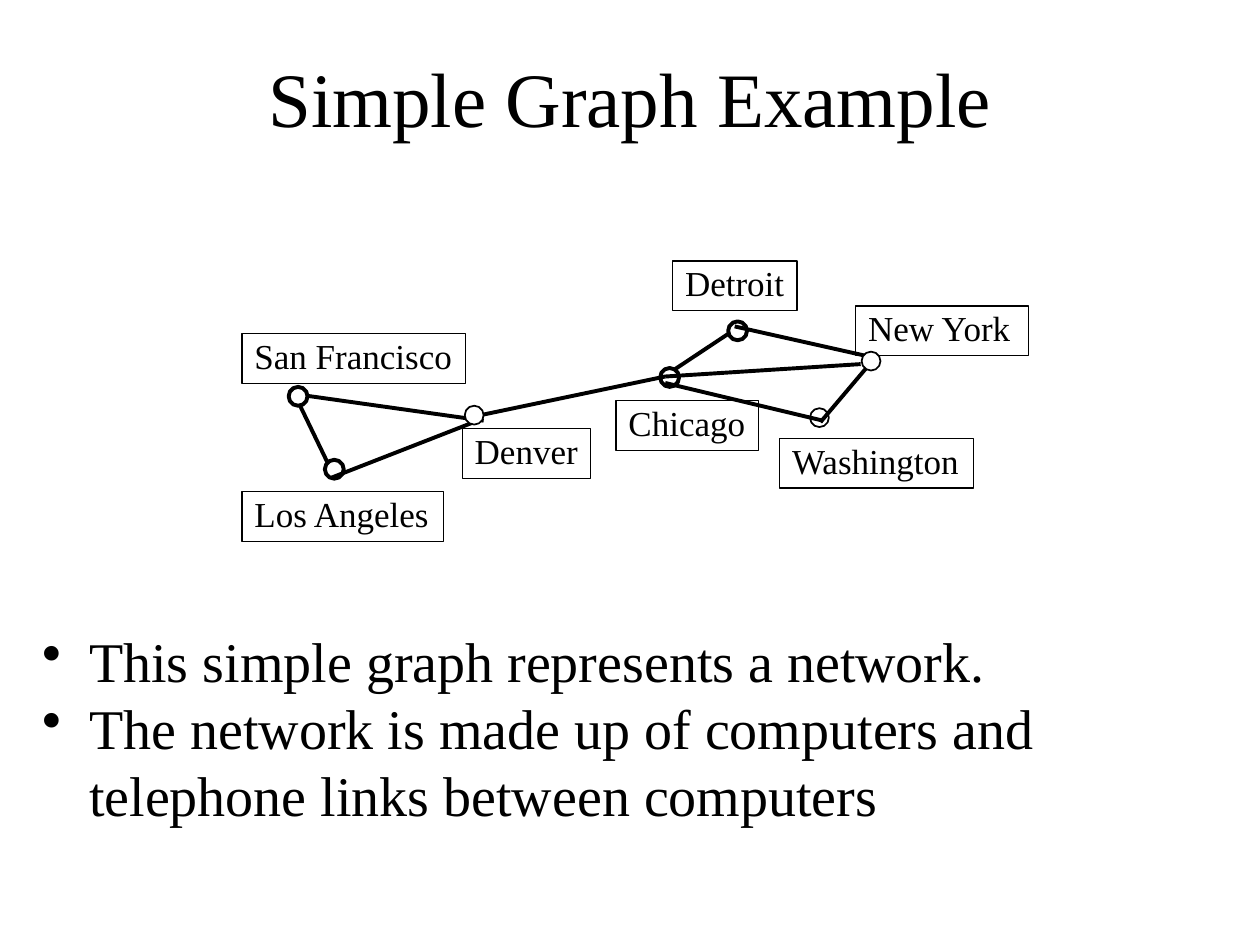
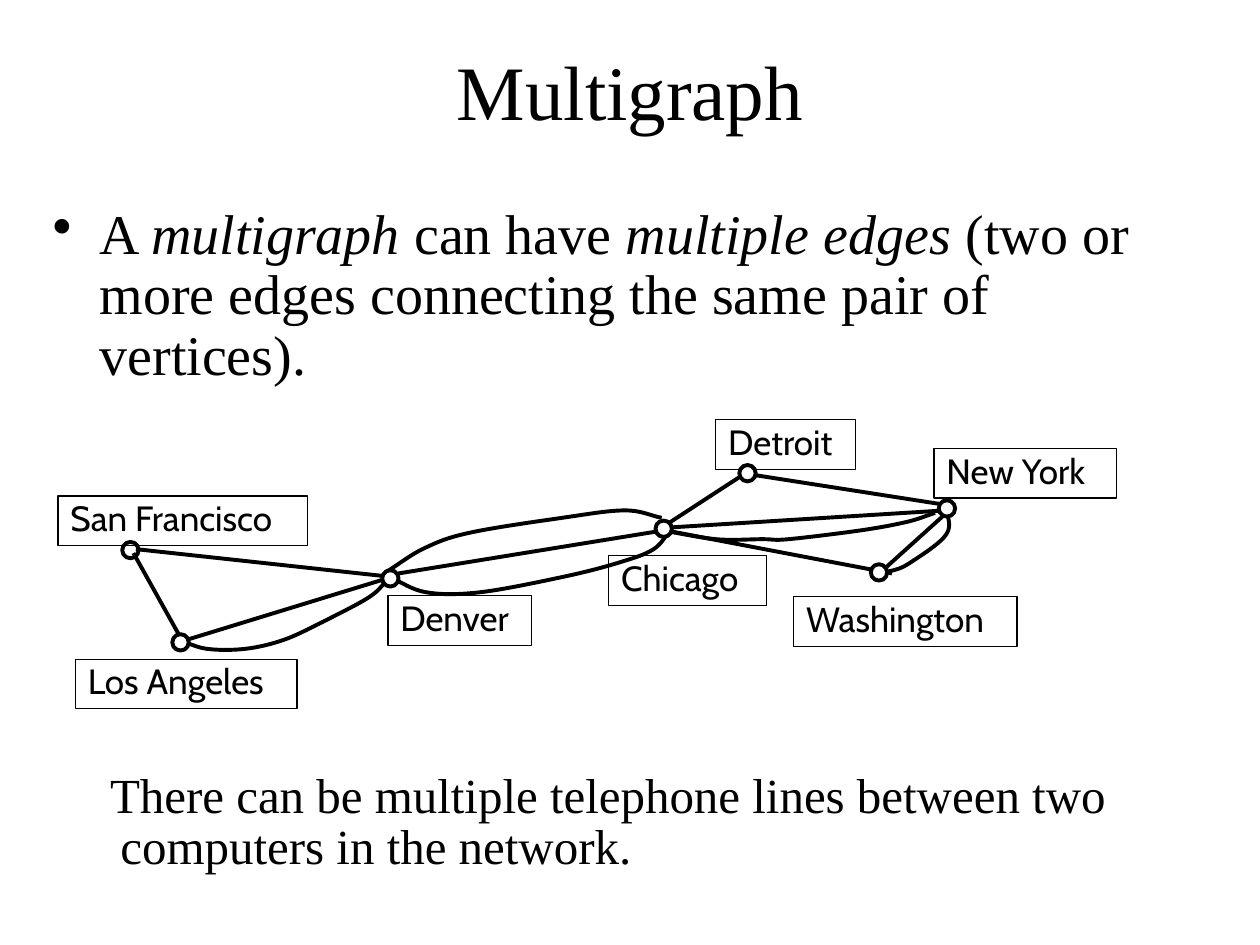
"""Build two slides that compare a simple graph and a multigraph of city links."""
from typing import NamedTuple

from lxml.etree import SubElement
from pptx import Presentation
from pptx.dml.color import RGBColor
from pptx.enum.shapes import MSO_CONNECTOR, MSO_SHAPE
from pptx.enum.text import MSO_ANCHOR, MSO_AUTO_SIZE, PP_ALIGN
from pptx.oxml.ns import qn
from pptx.util import Cm, Pt

BLACK = RGBColor(0x00, 0x00, 0x00)
WHITE = RGBColor(0xFF, 0xFF, 0xFF)
SERIF = "Times New Roman"
SANS = "Cabin"
THICK = 2.25
LABEL_HEIGHT = 1

Point = tuple[float, float]


class Box(NamedTuple):
    """A rectangle in centimetres."""
    left: float
    top: float
    width: float
    height: float


class City(NamedTuple):
    """A vertex with its name box."""
    name: str
    centre: Point
    label: Point
    label_width: float
    above_edges: bool = False
    outline: float = THICK


class Edge(NamedTuple):
    """A straight link."""
    start: Point
    end: Point


class Span(NamedTuple):
    """A stretch of text in one style."""
    text: str
    italic: bool = False


class Passage(NamedTuple):
    """A text block with its paragraph layout."""
    box: Box
    paragraphs: list[list[Span]]
    size: float
    spacing: float
    margin: float
    indent: float
    bullet: str = ""


class Graph(NamedTuple):
    """A network of cities, links and curved extra links."""
    font: str
    diameter: float
    cities: list[City]
    edges: list[Edge]
    curves: list[list[Point]]


class Page(NamedTuple):
    """The content of one slide."""
    title: str
    title_box: Box
    title_anchor: MSO_ANCHOR
    passages: list[Passage]
    graph: Graph


SIMPLE_GRAPH = Graph(
    SERIF, 0.38,
    [
        City("San Francisco", (6.01, 7.99), (4.88, 6.73), 4.5),
        City("Los Angeles", (6.74, 9.46), (4.88, 9.91), 4.06),
        City("Denver", (9.56, 8.37), (9.32, 8.64), 2.59, True, 1),
        City("Chicago", (13.5, 7.61), (12.42, 8.08), 2.87),
        City("Detroit", (14.87, 6.67), (13.56, 5.26), 2.51),
        City("Washington", (16.52, 8.42), (15.72, 8.84), 3.91, False, 1),
        City("New York", (17.56, 7.28), (17.25, 6.17), 3.48, True, 1),
    ],
    [
        Edge((6.05, 8.18), (6.6, 9.32)),
        Edge((14.68, 6.73), (13.61, 7.44)),
        Edge((6.2, 7.98), (9.75, 8.48)),
        Edge((9.63, 8.48), (6.68, 9.63)),
        Edge((14.81, 6.58), (17.53, 7.19)),
        Edge((13.41, 7.59), (17.35, 7.34)),
        Edge((13.41, 7.72), (16.59, 8.48)),
        Edge((13.41, 7.59), (9.73, 8.36)),
        Edge((17.53, 7.34), (16.54, 8.51)),
    ],
    [],
)

MULTIGRAPH = Graph(
    SANS, 0.33,
    [
        City("San Francisco", (2.63, 11.09), (1.17, 10), 5.03),
        City("Los Angeles", (3.64, 12.95), (1.52, 13.29), 4.47, True),
        City("Denver", (7.87, 11.66), (7.82, 12.01), 2.9, True),
        City("Chicago", (13.38, 10.66), (12.27, 11.2), 3.18, True),
        City("Detroit", (15.07, 9.54), (14.43, 8.46), 2.82, True),
        City("Washington", (17.72, 11.54), (16, 12.03), 4.5, True),
        City("New York", (19.09, 10.25), (18.83, 9.04), 3.68, True),
    ],
    [
        Edge((2.69, 11.15), (3.61, 12.8)),
        Edge((15.01, 9.55), (13.49, 10.54)),
        Edge((2.74, 11.07), (7.9, 11.63)),
        Edge((7.9, 11.63), (3.66, 12.93)),
        Edge((15.04, 9.55), (18.95, 10.16)),
        Edge((13.39, 10.64), (19.05, 10.29)),
        Edge((13.41, 10.69), (17.98, 11.56)),
        Edge((13.39, 10.69), (8.03, 11.56)),
        Edge((17.78, 11.51), (19.08, 10.34)),
    ],
    [
        [(3.61, 12.9), (4.17, 13.08), (4.95, 13.08), (5.72, 12.9),
         (6.48, 12.55), (7.44, 12.04), (7.82, 11.68)],
        [(7.85, 11.63), (8.59, 11.94), (9.68, 11.94), (11.35, 11.63),
         (12.45, 11.35), (13.18, 11.07), (13.54, 10.64)],
        [(7.82, 11.51), (8.56, 11.05), (9.47, 10.74), (11.33, 10.44),
         (12.6, 10.29), (13.34, 10.44)],
        [(19.08, 10.21), (19.08, 10.77), (18.34, 11.35), (17.96, 11.51),
         (17.78, 11.51)],
        [(13.34, 10.69), (14.43, 10.87), (15.37, 10.87), (15.9, 10.87),
         (17.37, 10.69), (18.29, 10.52), (18.85, 10.34)],
    ],
)

PAGES = [
    Page(
        "Simple Graph Example", Box(0.85, 0.85, 23.7, 2.16), MSO_ANCHOR.BOTTOM,
        [Passage(Box(0.85, 12.5, 24.13, 5.08), [
            [Span("This simple graph represents a network.")],
            [Span("The network is made up of computers and "
                  "telephone links between computers")],
        ], 32, 1, 0.95, -0.95, "•")],
        SIMPLE_GRAPH,
    ),
    Page(
        "Multigraph", Box(0.64, 0.64, 24.13, 2.34), MSO_ANCHOR.MIDDLE,
        [
            Passage(Box(1.06, 4.02, 23.29, 4.55), [[
                Span("A "), Span("multigraph", True), Span(" can have "),
                Span("multiple edges", True),
                Span(" (two or more edges connecting the same pair of vertices)."),
            ]], 32, 0.9, 0.95, -0.95, "•"),
            Passage(Box(1.48, 15.44, 22.43, 2.31), [[
                Span("There can be multiple telephone lines between two "
                     "computers in the network."),
            ]], 28, 0.87, 0.95, -0.21),
        ],
        MULTIGRAPH,
    ),
]


def place(box: Box) -> list[Cm]:
    """Turn a box into lengths."""
    return [Cm(value) for value in box]


def add_run(paragraph, span: Span, size: float, font: str = SERIF) -> None:
    """Append one styled run."""
    run = paragraph.add_run()
    run.text = span.text
    run.font.name, run.font.size = font, Pt(size)
    run.font.italic = span.italic
    run.font.color.rgb = BLACK


def set_frame(frame, anchor: MSO_ANCHOR, left: float, right: float) -> None:
    """Set wrapping, anchoring and insets of a text frame."""
    frame.word_wrap = True
    frame.auto_size = MSO_AUTO_SIZE.NONE
    frame.vertical_anchor = anchor
    frame.margin_left, frame.margin_right = Cm(left), Cm(right)
    frame.margin_top = frame.margin_bottom = Cm(0.13)


def set_outline(shape, width: float) -> None:
    """Give a shape a black outline and no shadow."""
    shape.shadow.inherit = False
    shape.line.color.rgb = BLACK
    shape.line.width = Pt(width)


def add_title(slide, page: Page) -> None:
    """Place and format the slide title."""
    title = slide.shapes.title
    title.left, title.top, title.width, title.height = place(page.title_box)
    set_frame(title.text_frame, page.title_anchor, 0.25, 0.25)
    heading = title.text_frame.paragraphs[0]
    heading.alignment = PP_ALIGN.CENTER
    add_run(heading, Span(page.title), 44)


def add_passage(slide, passage: Passage) -> None:
    """Add a text block with hanging paragraphs."""
    frame = slide.shapes.add_textbox(*place(passage.box)).text_frame
    set_frame(frame, MSO_ANCHOR.TOP, 0, 0)
    for index, spans in enumerate(passage.paragraphs):
        paragraph = frame.add_paragraph() if index else frame.paragraphs[0]
        properties = paragraph._p.get_or_add_pPr()
        properties.set("marL", str(Cm(passage.margin)))
        properties.set("indent", str(Cm(passage.indent)))
        if passage.bullet:
            SubElement(properties, qn("a:buChar"), char=passage.bullet)
        paragraph.line_spacing = passage.spacing
        for span in spans:
            add_run(paragraph, span, passage.size)


def add_vertex(slide, city: City, diameter: float) -> None:
    """Draw a city as a small circle."""
    x, y = city.centre
    box = Box(x - diameter / 2, y - diameter / 2, diameter, diameter)
    vertex = slide.shapes.add_shape(MSO_SHAPE.OVAL, *place(box))
    set_outline(vertex, city.outline)
    vertex.fill.solid()
    vertex.fill.fore_color.rgb = WHITE


def add_label(slide, city: City, font: str) -> None:
    """Draw the name box of a city."""
    box = Box(*city.label, city.label_width, LABEL_HEIGHT)
    label = slide.shapes.add_shape(MSO_SHAPE.ROUNDED_RECTANGLE, *place(box))
    label.adjustments[0] = 0
    set_outline(label, 0.75)
    label.fill.background()
    set_frame(label.text_frame, MSO_ANCHOR.TOP, 0.25, 0)
    name = label.text_frame.paragraphs[0]
    name.alignment = PP_ALIGN.LEFT
    name.line_spacing = 0.87
    add_run(name, Span(city.name), 20, font)


def add_edge(slide, edge: Edge) -> None:
    """Draw a straight link."""
    ends = [Cm(value) for value in (*edge.start, *edge.end)]
    link = slide.shapes.add_connector(MSO_CONNECTOR.STRAIGHT, *ends)
    link.line.color.rgb = BLACK
    link.line.width = Pt(THICK)
    SubElement(link._element.spPr, qn("a:effectLst"))


def reflect(point: Point, centre: Point) -> Point:
    """Mirror a point through a centre."""
    return 2 * centre[0] - point[0], 2 * centre[1] - point[1]


def bend_segments(curve) -> None:
    """Turn the straight segments of an outline into smooth Bezier segments."""
    outline = next(curve._element.iter(qn("a:path")))
    knots = [(int(pt.get("x")), int(pt.get("y"))) for pt in outline.iter(qn("a:pt"))]
    padded = [reflect(knots[1], knots[0]), *knots, reflect(knots[-2], knots[-1])]
    for segment in outline.findall(qn("a:lnTo")):
        outline.remove(segment)
    for quad in zip(padded, padded[1:], padded[2:], padded[3:]):
        bend = SubElement(outline, qn("a:cubicBezTo"))
        axes = [(b + (c - a) / 6, c - (d - b) / 6, c) for a, b, c, d in zip(*quad)]
        for x, y in zip(*axes):
            SubElement(bend, qn("a:pt"), x=str(round(x)), y=str(round(y)))


def add_curve(slide, knots: list[Point]) -> None:
    """Draw a curved extra link."""
    start, *rest = [(Cm(x), Cm(y)) for x, y in knots]
    builder = slide.shapes.build_freeform(*start)
    builder.add_line_segments(rest, close=False)
    curve = builder.convert_to_shape()
    bend_segments(curve)
    set_outline(curve, THICK)
    curve.fill.background()


def add_graph(slide, graph: Graph) -> None:
    """Draw the network from back to front."""
    for city in graph.cities:
        if not city.above_edges:
            add_vertex(slide, city, graph.diameter)
    for edge in graph.edges:
        add_edge(slide, edge)
    for city in graph.cities:
        add_label(slide, city, graph.font)
    for knots in graph.curves:
        add_curve(slide, knots)
    for city in graph.cities:
        if city.above_edges:
            add_vertex(slide, city, graph.diameter)


def main() -> None:
    """Build and save the presentation."""
    deck = Presentation()
    deck.slide_width, deck.slide_height = Cm(25.4), Cm(19.05)
    for page in PAGES:
        slide = deck.slides.add_slide(deck.slide_layouts[5])
        add_title(slide, page)
        for passage in page.passages:
            add_passage(slide, passage)
        add_graph(slide, page.graph)
    deck.save("out.pptx")


if __name__ == "__main__":
    main()
